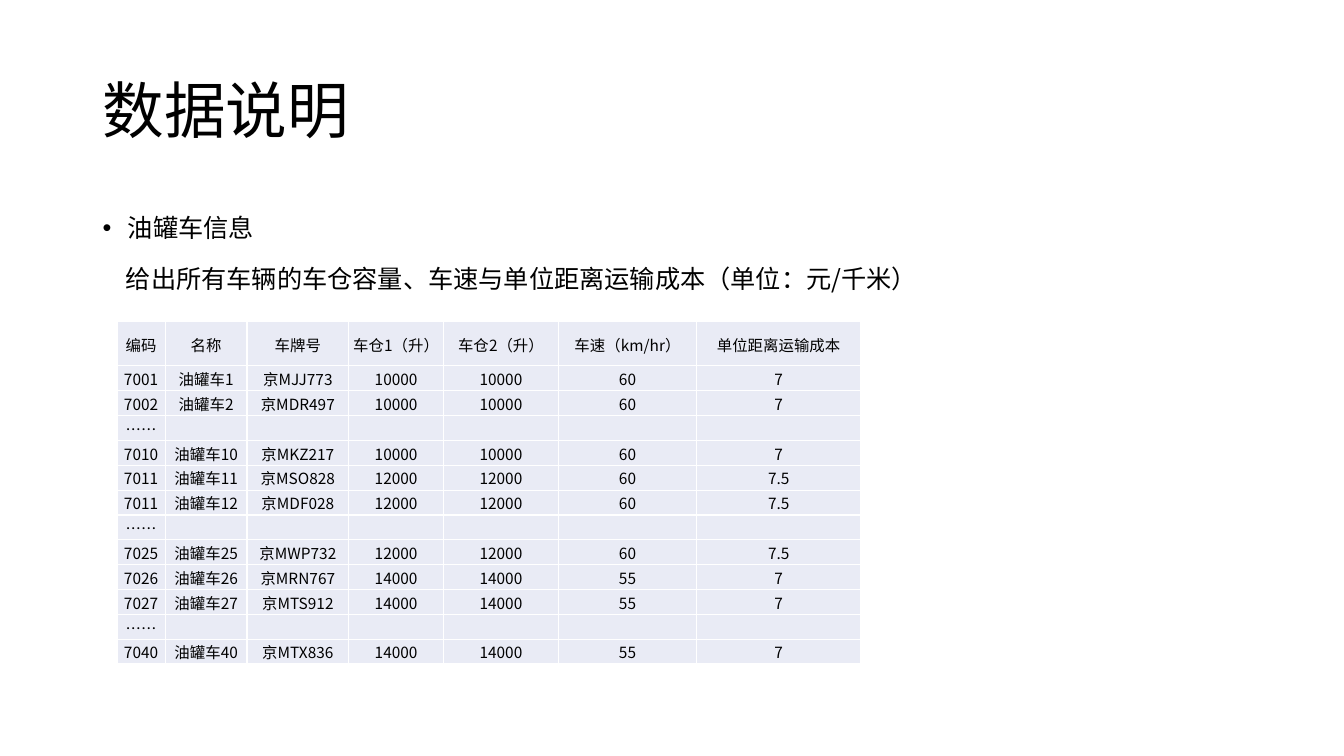
from dataclasses import dataclass

from lxml import etree
from pptx import Presentation
from pptx import util as u
from pptx.dml import color as col
from pptx.enum import text as tx
from pptx.oxml import ns

FONT = "Noto Sans CJK SC"
BLACK, WHITE, PALE = "000000", "FFFFFF", "E9EBF5"
CELL_SIZE = 11


@dataclass
class Line:
    text: str
    size: float
    space: float
    before: float = 0
    left: float = 0
    bullet: bool = False


@dataclass
class Box:
    left: float
    top: float
    width: float
    height: float
    anchor: tx.MSO_ANCHOR
    lines: list[Line]


@dataclass
class Truck:
    code: int
    number: int
    plate: str
    tank: int
    speed: int
    cost: str

    def row(self) -> list[str]:
        return [str(self.code), f"油罐车{self.number}", f"京{self.plate}",
                str(self.tank), str(self.tank), str(self.speed), self.cost]


BOXES = [
    Box(0.92, 0.4, 11.5, 1.45, tx.MSO_ANCHOR.MIDDLE, [Line("数据说明", 44, 0.9)]),
    Box(0.92, 2, 11.5, 1.61, tx.MSO_ANCHOR.TOP, [
        Line("油罐车信息", 18, 1.2, 10, 0.25, True),
        Line("给出所有车辆的车仓容量、车速与单位距离运输成本（单位：元/千米）",
             18, 1.2, 10, 0.23),
    ]),
]
HEADS = ["编码", "名称", "车牌号", "车仓1（升）", "车仓2（升）",
         "车速（km/hr）", "单位距离运输成本"]
WIDTHS = [0.48, 0.81, 1.01, 0.94, 1.14, 1.37, 1.63]
HEAD_HEIGHT, BODY_HEIGHT = 0.44, 2.96
GAP = ["……"] + [""] * (len(HEADS) - 1)
TRUCKS = [
    Truck(7001, 1, "MJJ773", 10000, 60, "7"),
    Truck(7002, 2, "MDR497", 10000, 60, "7"),
    None,
    Truck(7010, 10, "MKZ217", 10000, 60, "7"),
    Truck(7011, 11, "MSO828", 12000, 60, "7.5"),
    Truck(7011, 12, "MDF028", 12000, 60, "7.5"),
    None,
    Truck(7025, 25, "MWP732", 12000, 60, "7.5"),
    Truck(7026, 26, "MRN767", 14000, 55, "7"),
    Truck(7027, 27, "MTS912", 14000, 55, "7"),
    None,
    Truck(7040, 40, "MTX836", 14000, 55, "7"),
]


def paint(fill, shade: str) -> None:
    fill.solid()
    fill.fore_color.rgb = col.RGBColor.from_string(shade)


def add_run(para, words: str, size: float) -> None:
    run = para.add_run()
    run.text = words
    run.font.name = FONT
    run.font.size = u.Pt(size)
    paint(run.font.fill, BLACK)
    east = etree.SubElement(run.font._element, ns.qn("a:ea"))
    east.set("typeface", FONT)


def add_line(para, line: Line) -> None:
    para.line_spacing = line.space
    para.space_before = u.Pt(line.before)
    props = para._p.get_or_add_pPr()
    props.set("marL", str(u.Inches(line.left)))
    props.set("indent", str(-u.Inches(line.left) if line.bullet else 0))
    if line.bullet:
        etree.SubElement(props, ns.qn("a:buFont")).set("typeface", "Arial")
        etree.SubElement(props, ns.qn("a:buChar")).set("char", "•")
    add_run(para, line.text, line.size)


def add_box(slide, box: Box) -> None:
    frame = slide.shapes.add_textbox(
        u.Inches(box.left), u.Inches(box.top),
        u.Inches(box.width), u.Inches(box.height)).text_frame
    frame.word_wrap = True
    frame.vertical_anchor = box.anchor
    for i, line in enumerate(box.lines):
        add_line(frame.add_paragraph() if i else frame.paragraphs[0], line)


def add_edges(cell) -> None:
    """Give the cell a one-point white border on all four sides."""
    props = cell._tc.get_or_add_tcPr()
    for side in ("lnL", "lnR", "lnT", "lnB"):
        edge = etree.SubElement(props, ns.qn(f"a:{side}"), w=str(u.Pt(1)))
        fill = etree.SubElement(edge, ns.qn("a:solidFill"))
        etree.SubElement(fill, ns.qn("a:srgbClr"), val=WHITE)


def fill_cell(cell, words: str) -> None:
    add_edges(cell)
    paint(cell.fill, PALE)
    cell.margin_left = cell.margin_right = cell.margin_top = u.Inches(0.01)
    cell.margin_bottom = 0
    cell.vertical_anchor = tx.MSO_ANCHOR.MIDDLE
    para = cell.text_frame.paragraphs[0]
    para.alignment = tx.PP_ALIGN.CENTER
    if words:
        add_run(para, words, CELL_SIZE)
    else:
        etree.SubElement(para._p, ns.qn("a:endParaRPr"), sz=str(CELL_SIZE * 100))


def add_trucks(slide) -> None:
    rows = [HEADS] + [truck.row() if truck else GAP for truck in TRUCKS]
    table = slide.shapes.add_table(
        len(rows), len(HEADS), u.Inches(1.16), u.Inches(3.19),
        u.Inches(sum(WIDTHS)), u.Inches(HEAD_HEIGHT + BODY_HEIGHT)).table
    table.first_row = table.horz_banding = False
    for column, width in zip(table.columns, WIDTHS):
        column.width = u.Inches(width)
    for r, row in enumerate(rows):
        height = BODY_HEIGHT / len(TRUCKS) if r else HEAD_HEIGHT
        table.rows[r].height = u.Inches(height)
        for c, words in enumerate(row):
            fill_cell(table.cell(r, c), words)


def main() -> None:
    deck = Presentation()
    deck.slide_width, deck.slide_height = u.Inches(13.33), u.Inches(7.5)
    slide = deck.slides.add_slide(deck.slide_layouts[6])
    paint(slide.background.fill, WHITE)
    for box in BOXES:
        add_box(slide, box)
    add_trucks(slide)
    deck.save("out.pptx")


if __name__ == "__main__":
    main()
